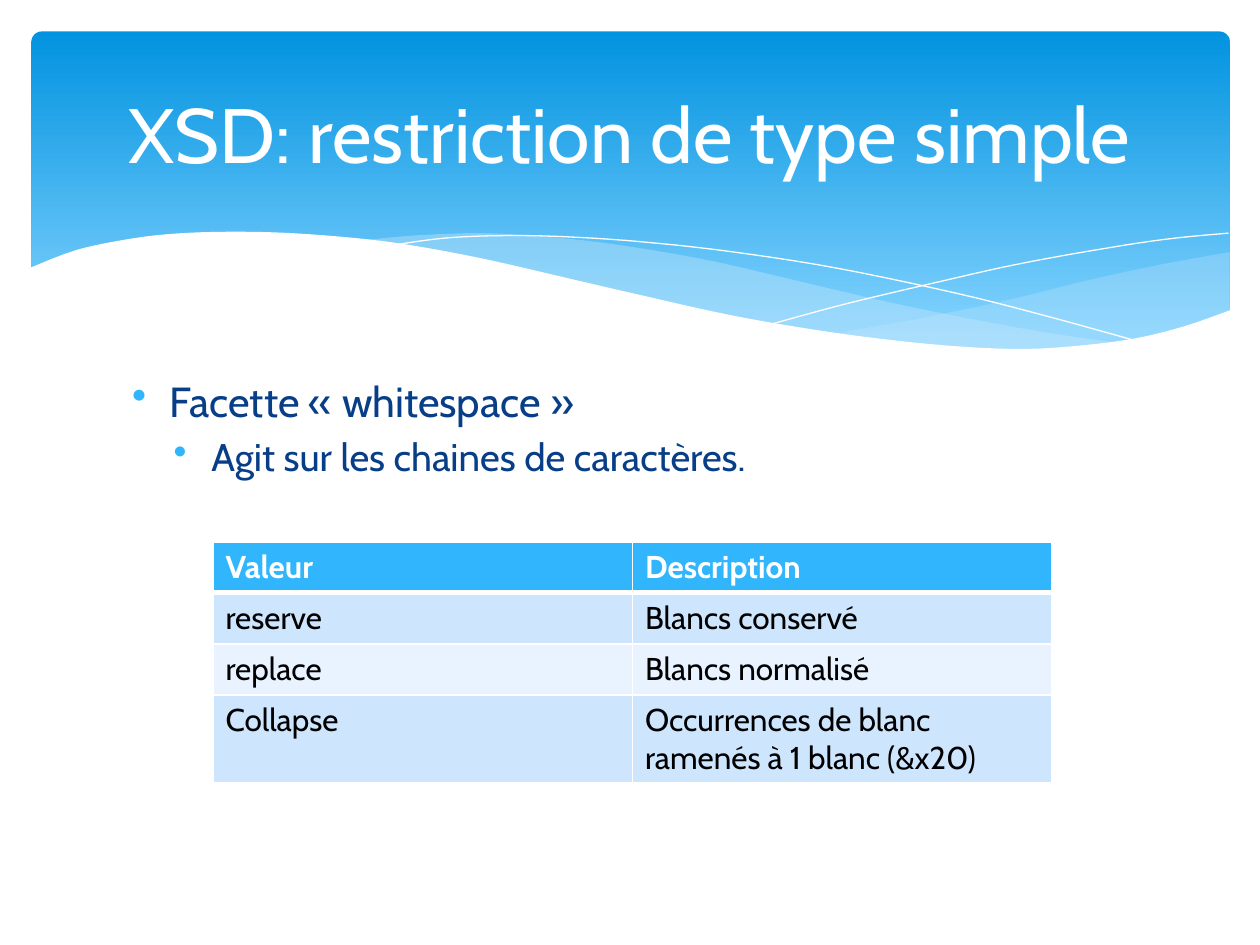
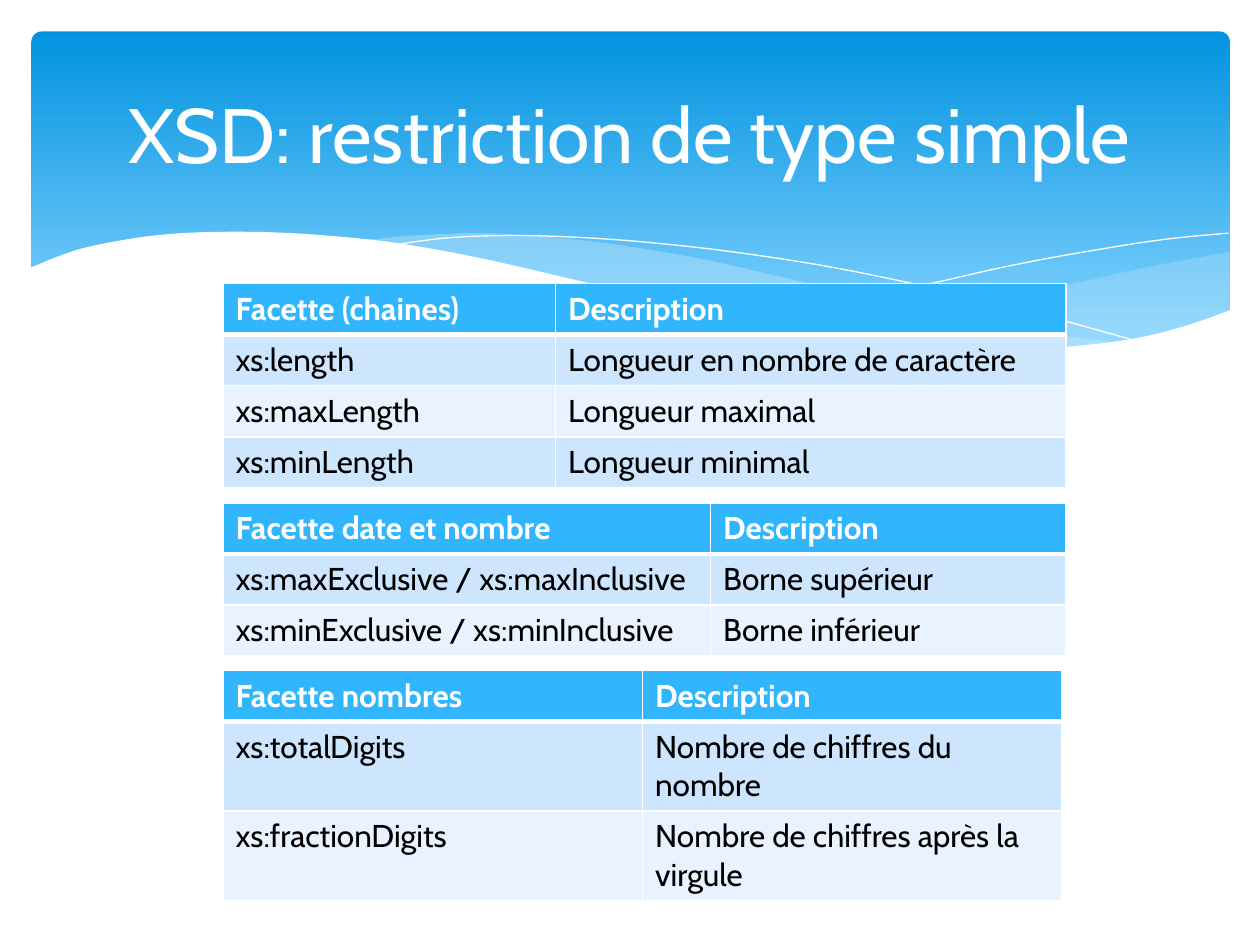
import pptx
import pptx.dml.color
import pptx.enum.shapes
import pptx.enum.text
import pptx.oxml
import pptx.oxml.ns
import pptx.util
from dataclasses import dataclass

Inches, Pt = pptx.util.Inches, pptx.util.Pt


@dataclass(frozen=True)
class Theme:
    """Colours and type sizes shared by the slides."""
    font: str = "Cabin"
    white: str = "FFFFFF"
    black: str = "000000"
    navy: str = "073E87"
    accent: str = "31B6FD"
    band_top: str = "0293E0"
    band_bottom: str = "83D3FE"
    veil: str = "C6E7FC"
    row_odd: str = "CEE5FE"
    row_even: str = "E8F3FF"
    title_size: int = 44
    table_size: int = 18
    body_sizes: tuple = (24, 22)


THEME = Theme()
ROW_HEIGHT = 1.62 / 4
TALL_ROW_HEIGHT = 0.7
BULLET_INDENTS = (0.3, 0.63)
BULLET_HANGING = 0.3

SLIDES = [
    {
        "title": "XSD: restriction de type simple",
        "bullets": [
            (0, "Facette «\u00a0whitespace\u00a0»"),
            (1, "Agit sur les chaines de caractères."),
        ],
        "tables": [
            {
                "at": (1.69, 4.3), "cols": (3.33, 3.33), "tall": (3,),
                "rows": [
                    ("Valeur", "Description"),
                    ("reserve", "Blancs conservé"),
                    ("replace", "Blancs normalisé"),
                    ("Collapse", "Occurrences de blanc ramenés à 1 blanc (&x20)"),
                ],
            },
        ],
    },
    {
        "title": "XSD: restriction de type simple",
        "bullets": [],
        "tables": [
            {
                "at": (1.77, 2.25), "cols": (2.64, 4.05), "tall": (),
                "rows": [
                    ("Facette (chaines)", "Description"),
                    ("xs:length", "Longueur en nombre de caractère"),
                    ("xs:maxLength", "Longueur maximal"),
                    ("xs:minLength", "Longueur minimal"),
                ],
            },
            {
                "at": (1.77, 3.99), "cols": (3.87, 2.82), "tall": (),
                "rows": [
                    ("Facette date et nombre", "Description"),
                    ("xs:maxExclusive / xs:maxInclusive", "Borne supérieur"),
                    ("xs:minExclusive / xs:minInclusive", "Borne inférieur"),
                ],
            },
            {
                "at": (1.77, 5.32), "cols": (3.33, 3.33), "tall": (1, 2),
                "rows": [
                    ("Facette nombres", "Description"),
                    ("xs:totalDigits", "Nombre de chiffres du nombre"),
                    ("xs:fractionDigits", "Nombre de chiffres après la virgule"),
                ],
            },
        ],
    },
]

# Knots, in inches, of the smooth curves that make up the band's waves.
RIGHT_VEIL = [
    [(9.76, 2), (9.21, 2.1), (8.61, 2.23), (8.05, 2.37), (7.29, 2.53), (6.61, 2.65)],
    [(6.61, 2.65), (7.05, 2.71), (7.57, 2.76), (8.03, 2.78), (8.54, 2.76),
     (8.97, 2.7), (9.35, 2.62), (9.76, 2.47)],
]
LONG_VEIL = [
    [(8.93, 2.73), (8.37, 2.65), (7.75, 2.54), (7.06, 2.4), (6.29, 2.22),
     (5.69, 2.08), (5.14, 1.98), (4.65, 1.91), (4.2, 1.87), (3.8, 1.85),
     (3.28, 1.87), (2.86, 1.91)],
    [(2.86, 1.91), (3.42, 1.99), (4.04, 2.11), (4.49, 2.22), (5.3, 2.4),
     (6.01, 2.55), (6.65, 2.66), (7.22, 2.74), (7.85, 2.78), (8.38, 2.78),
     (8.93, 2.73)],
]
FALLING_LINE = [
    [(3.09, 1.95), (3.53, 1.89), (4.01, 1.87), (4.5, 1.88), (5.1, 1.92),
     (5.82, 2), (6.65, 2.13), (7.6, 2.33), (8.31, 2.51), (9.07, 2.72)],
]
RISING_LINE = [
    [(6.13, 2.57), (6.72, 2.41), (7.48, 2.23), (8.06, 2.1), (8.66, 1.99),
     (9.24, 1.9), (9.75, 1.85)],
]
FRONT_WAVE = [
    [(9.77, 2.46), (9.4, 2.59), (8.99, 2.69), (8.5, 2.75), (8.09, 2.77),
     (7.61, 2.75), (7.08, 2.7), (6.48, 2.62), (5.79, 2.5), (5.03, 2.33),
     (4.47, 2.2), (3.91, 2.07), (3.4, 1.97), (2.92, 1.9), (2.3, 1.85),
     (1.77, 1.84), (1.32, 1.86), (0.95, 1.91), (0.59, 1.99), (0.23, 2.13)],
    [(0.23, 3.29), (9.77, 3.29)],
]


def rgb(colour):
    """Turn a hex string into a colour."""
    return pptx.dml.color.RGBColor.from_string(colour)


def set_font(font, size, colour, bold=False):
    """Apply the theme font with a size, colour and weight."""
    font.name, font.size, font.bold = THEME.font, Pt(size), bold
    font.color.rgb = rgb(colour)


def add_xml(parent, body, index=None):
    """Add a drawing element to a parent, at the end unless an index is given."""
    el = pptx.oxml.parse_xml(body.replace(
        " ", f' {pptx.oxml.ns.nsdecls("a")} ', 1))
    parent.insert(len(parent) if index is None else index, el)


def spline(knots, steps=5):
    """Return points on a Catmull-Rom curve through the knots."""
    ends = [knots[0], *knots, knots[-1]]
    points = [knots[0]]
    for a, b, c, d in zip(ends, ends[1:], ends[2:], ends[3:]):
        for i in range(1, steps + 1):
            t = i / steps
            points.append(tuple(
                0.5 * (2 * q + (r - p) * t + (2 * p - 5 * q + 4 * r - s) * t ** 2
                       + (3 * q - p - 3 * r + s) * t ** 3)
                for p, q, r, s in zip(a, b, c, d)))
    return points


def add_curve(slide, curves, fill=None, alpha=100):
    """Draw joined curves: a filled area, or a white hairline without a fill."""
    points = [(Inches(x), Inches(y)) for knots in curves for x, y in spline(knots)]
    builder = slide.shapes.build_freeform(*points[0])
    builder.add_line_segments(points[1:], close=fill is not None)
    sp = builder.convert_to_shape()
    sp.shadow.inherit = False
    if fill is None:
        sp.fill.background()
        sp.line.color.rgb = rgb(THEME.white)
        sp.line.width = Pt(0)
        return
    sp.fill.solid()
    sp.fill.fore_color.rgb = rgb(fill)
    sp.line.fill.background()
    if alpha < 100:
        colour = sp.element.spPr.find(".//" + pptx.oxml.ns.qn("a:srgbClr"))
        add_xml(colour, f'<a:alpha val="{alpha * 1000}"/>')


def add_band(slide):
    """Draw the gradient band and its waves."""
    sp = slide.shapes.add_shape(
        pptx.enum.shapes.MSO_SHAPE.ROUNDED_RECTANGLE,
        Inches(0.25), Inches(0.25), Inches(9.51), Inches(2.7))
    sp.adjustments[0] = 0.03
    sp.shadow.inherit = False
    sp.line.fill.background()
    sp.fill.gradient()
    sp.fill.gradient_angle = 270
    stops = ((0, THEME.band_top), (0.9, THEME.band_bottom))
    for stop, (position, colour) in zip(sp.fill.gradient_stops, stops):
        stop.position, stop.color.rgb = position, rgb(colour)
    add_curve(slide, RIGHT_VEIL, THEME.veil, 29)
    add_curve(slide, LONG_VEIL, THEME.veil, 40)
    add_curve(slide, FALLING_LINE)
    add_curve(slide, RISING_LINE)
    add_curve(slide, FRONT_WAVE, THEME.white)


def set_title(slide, text):
    """Place and format the title in front of the band."""
    sp = slide.shapes.title
    sp.left, sp.top, sp.width, sp.height = map(Inches, (0.5, 0.37, 9, 1.37))
    tf = sp.text_frame
    tf.text = text
    tf.vertical_anchor = pptx.enum.text.MSO_ANCHOR.MIDDLE
    p = tf.paragraphs[0]
    p.alignment = pptx.enum.text.PP_ALIGN.CENTER
    set_font(p.font, THEME.title_size, THEME.white)
    sp.element.getparent().append(sp.element)


def add_bullets(slide, bullets):
    """Add the bulleted body text."""
    sp = slide.shapes.add_textbox(*map(Inches, (0.95, 2.93, 8.1, 3.77)))
    tf = sp.text_frame
    tf.word_wrap = True
    for i, (level, text) in enumerate(bullets):
        p = tf.add_paragraph() if i else tf.paragraphs[0]
        size = THEME.body_sizes[level]
        p.text, p.level, p.space_before = text, level, Pt(size * 0.2)
        set_font(p.font, size, THEME.navy)
        pr = p._p.get_or_add_pPr()
        pr.set("marL", str(Inches(BULLET_INDENTS[level])))
        pr.set("indent", str(-Inches(BULLET_HANGING)))
        spacing = pr.find(pptx.oxml.ns.qn("a:spcBef"))
        at = pr.index(spacing) + 1
        add_xml(pr, '<a:buChar char="•"/>', at)
        add_xml(pr, f'<a:buClr ><a:srgbClr val="{THEME.accent}"/></a:buClr>', at)


def set_borders(cell, top, bottom):
    """Give a cell white borders, with the top and bottom widths in points."""
    pr = cell._tc.get_or_add_tcPr()
    for side, width in (("L", 1), ("R", 1), ("T", top), ("B", bottom)):
        add_xml(pr, f'<a:ln{side} w="{Pt(width)}"><a:solidFill>'
                    f'<a:srgbClr val="{THEME.white}"/></a:solidFill></a:ln{side}>')


def add_grid(slide, at, cols, rows, tall):
    """Add a table with a header row and banded body rows."""
    heights = [TALL_ROW_HEIGHT if i in tall else ROW_HEIGHT for i in range(len(rows))]
    size = (sum(cols), sum(heights))
    table = slide.shapes.add_table(
        len(rows), len(cols), *map(Inches, at + size)).table
    for column, width in zip(table.columns, cols):
        column.width = Inches(width)
    for i, texts in enumerate(rows):
        table.rows[i].height = Inches(heights[i])
        header = i == 0
        fill = THEME.accent if header else THEME.row_odd if i % 2 else THEME.row_even
        for j, text in enumerate(texts):
            cell = table.cell(i, j)
            cell.text = text
            set_font(cell.text_frame.paragraphs[0].font, THEME.table_size,
                     THEME.white if header else THEME.black, header)
            set_borders(cell, 3 if i == 1 else 1, 3 if header else 1)
            cell.fill.solid()
            cell.fill.fore_color.rgb = rgb(fill)


def main():
    """Build the slides and save them."""
    prs = pptx.Presentation()
    prs.slide_width, prs.slide_height = Inches(10), Inches(7.5)
    for content in SLIDES:
        slide = prs.slides.add_slide(prs.slide_layouts.get_by_name("Title Only"))
        add_band(slide)
        set_title(slide, content["title"])
        if content["bullets"]:
            add_bullets(slide, content["bullets"])
        for grid in content["tables"]:
            add_grid(slide, **grid)
    prs.save("out.pptx")


main()
